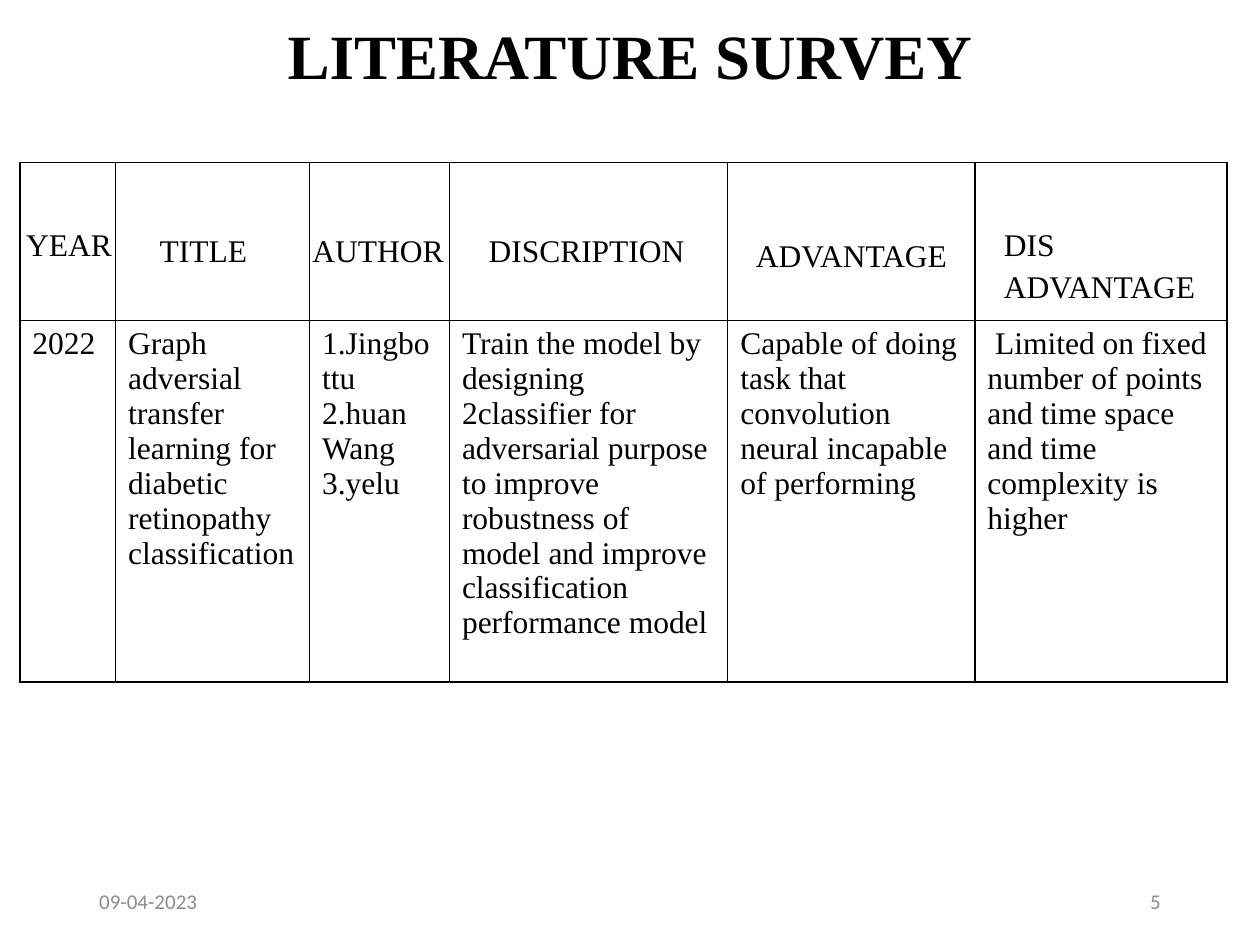
"""Build the literature survey slide."""
from lxml import etree
from pptx import Presentation
from pptx import util as u
from pptx.dml.color import RGBColor
from pptx.enum import text as t
from pptx.oxml.ns import qn

SERIF, SANS = "Times New Roman", "Calibri"
TITLE = "LITERATURE SURVEY"
COLS = [1.93, 3.91, 2.82, 5.61, 4.98, 5.08]
ROWS = [3.18, 7.29]
HEADS = [
    ("YEAR", 0.28, 4.34, 2.26),
    ("TITLE", 2.97, 4.45, 2.29),
    ("AUTHOR", 6.05, 4.45, 3.18),
    ("DISCRIPTION", 9.6, 4.45, 4.5),
    ("ADVANTAGE", 14.99, 4.55, 4.39),
    ("DIS\nADVANTAGE", 19.99, 4.34, 4.39),
]
STUDY = [
    "2022",
    "Graph adversial transfer learning for diabetic retinopathy classification",
    "1.Jingbottu\n2.huan Wang\n3.yelu",
    "Train the model by designing 2classifier for adversarial purpose to improve "
    "robustness of model and improve classification performance model",
    "Capable of doing task that convolution neural incapable of performing",
    " Limited on fixed number of points and time space and time complexity is higher",
]
FOOT = [("09-04-2023", 1.75, t.PP_ALIGN.LEFT), ("5", 17.93, t.PP_ALIGN.RIGHT)]


def tint(hue):
    return RGBColor.from_string(hue)


def write(frame, words, size=18, font=SERIF, hue="000000", bold=False,
          align=t.PP_ALIGN.LEFT, lead=None):
    frame.text = words
    for para in frame.paragraphs:
        para.alignment = align
        para.line_spacing = lead
        face = para.runs[0].font
        face.size, face.name, face.bold = u.Pt(size), font, bold
        face.color.rgb = tint(hue)


def place(shape, left, top, width, height):
    shape.left, shape.top = u.Cm(left), u.Cm(top)
    shape.width, shape.height = u.Cm(width), u.Cm(height)


def frame_cell(cell, hue="000000", width=1):
    props = cell._tc.get_or_add_tcPr()
    for side in ("lnL", "lnR", "lnT", "lnB"):
        line = etree.SubElement(props, qn("a:" + side), w=str(u.Pt(width)))
        fill = etree.SubElement(line, qn("a:solidFill"))
        etree.SubElement(fill, qn("a:srgbClr"), val=hue)
    cell.fill.solid()
    cell.fill.fore_color.rgb = tint("FFFFFF")


def add_grid(slide):
    grid = slide.shapes.add_table(
        len(ROWS), len(COLS), u.Cm(0.4), u.Cm(3.28),
        u.Cm(sum(COLS)), u.Cm(sum(ROWS))).table
    grid.first_row = grid.horz_banding = False
    for col, width in zip(grid.columns, COLS):
        col.width = u.Cm(width)
    for row, height in zip(grid.rows, ROWS):
        row.height = u.Cm(height)
    for cell in grid.iter_cells():
        frame_cell(cell)
    for cell, words in zip(grid.rows[1].cells, STUDY):
        write(cell.text_frame, words)


def add_label(slide, words, left, top, width, height, **style):
    box = slide.shapes.add_textbox(*map(u.Cm, (left, top, width, height)))
    write(box.text_frame, words, **style)
    return box.text_frame


def main():
    deck = Presentation()
    deck.slide_width, deck.slide_height = u.Cm(25.4), u.Cm(19.05)
    slide = deck.slides.add_slide(deck.slide_layouts[5])

    title = slide.shapes.title
    place(title, 1.75, 0.46, 21.9, 1.47)
    frame = title.text_frame
    frame.auto_size = t.MSO_AUTO_SIZE.NONE
    frame.vertical_anchor = t.MSO_ANCHOR.MIDDLE
    write(frame, TITLE, size=36, bold=True, align=t.PP_ALIGN.CENTER, lead=0.9)

    for words, left, align in FOOT:
        foot = add_label(slide, words, left, 17.65, 5.72, 1.02, size=12,
                         font=SANS, hue="8C8C8C", align=align)
        foot.word_wrap = True
        foot.vertical_anchor = t.MSO_ANCHOR.MIDDLE

    add_grid(slide)
    for words, left, top, width in HEADS:
        height = 0.25 + 0.77 * len(words.split("\n"))
        head = add_label(slide, words, left, top, width, height, lead=1.1)
        head.word_wrap = False
        head.auto_size = t.MSO_AUTO_SIZE.SHAPE_TO_FIT_TEXT

    deck.save("out.pptx")


if __name__ == "__main__":
    main()
